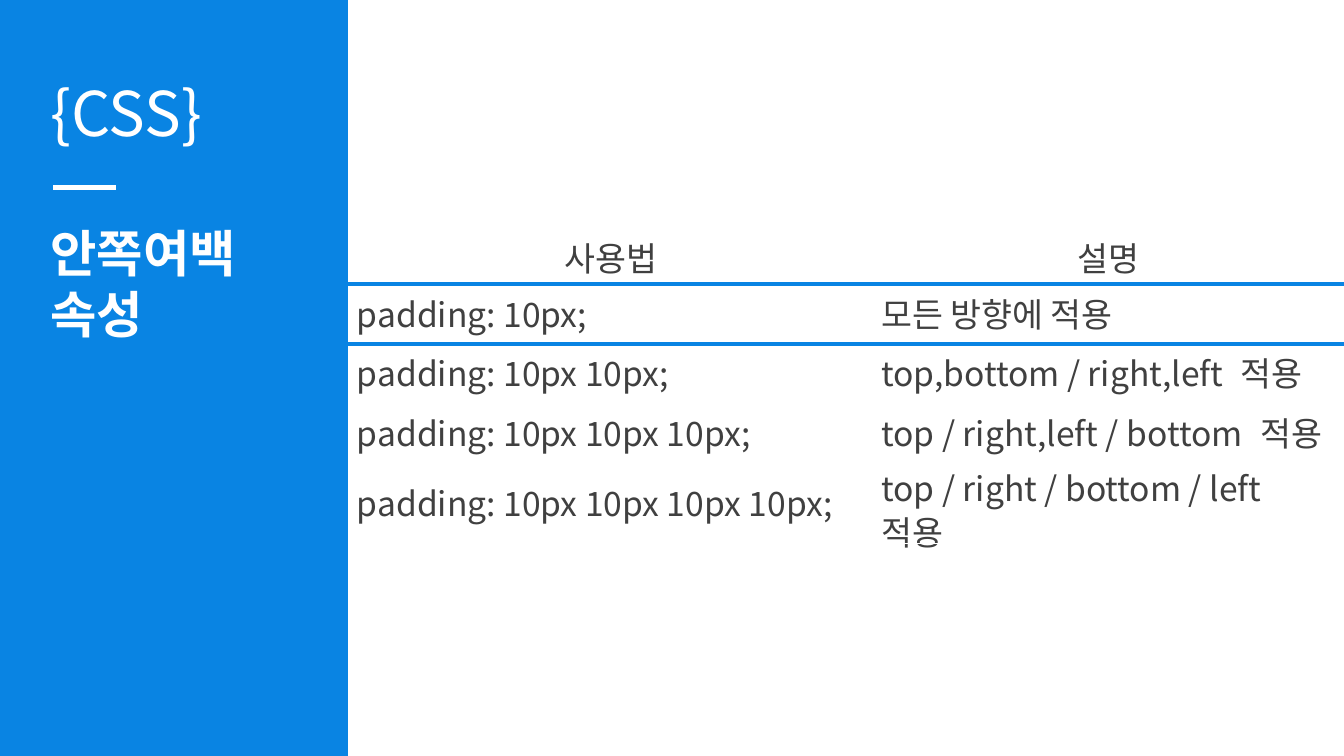
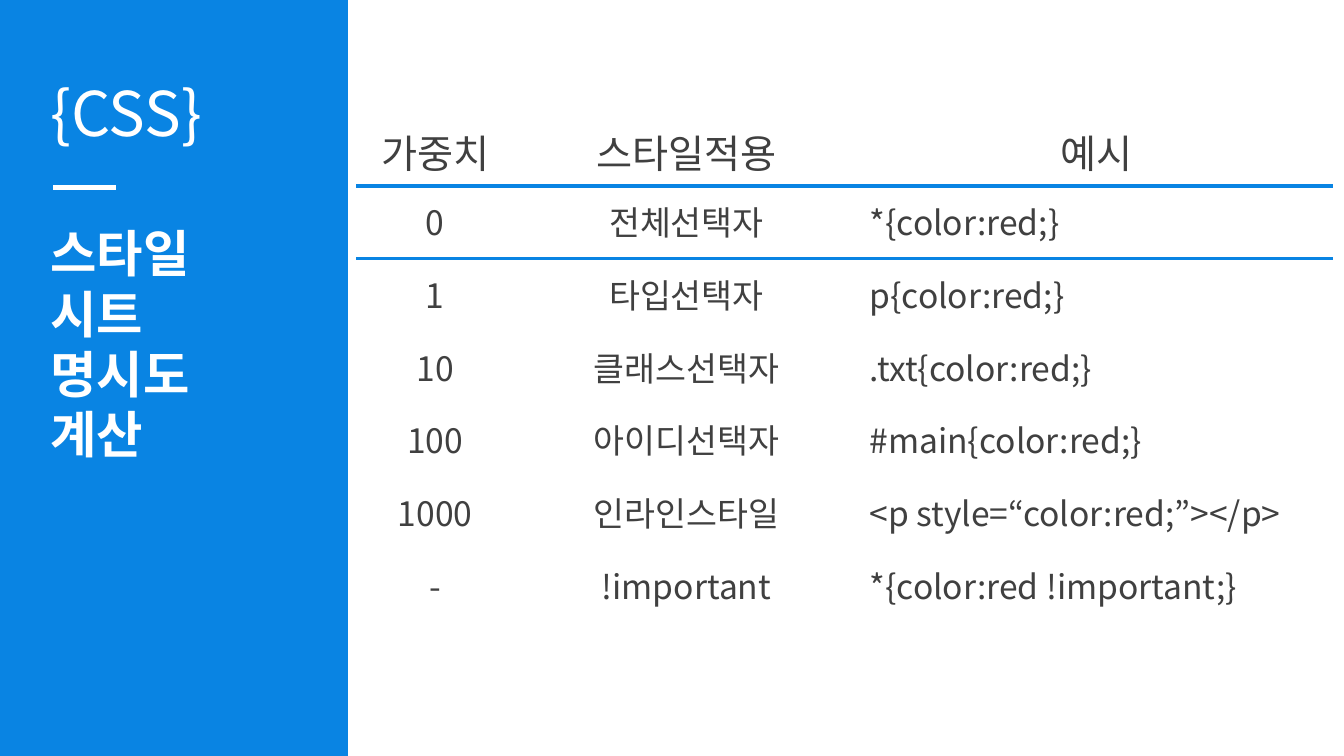
from dataclasses import dataclass
from lxml import etree
from pptx import Presentation
from pptx.dml.color import RGBColor
from pptx.enum.shapes import MSO_CONNECTOR, MSO_SHAPE
from pptx.enum.text import MSO_ANCHOR, PP_ALIGN
from pptx.oxml.ns import qn
from pptx.util import Inches, Pt

RECTANGLE = MSO_SHAPE.RECTANGLE
STRAIGHT = MSO_CONNECTOR.STRAIGHT
MIDDLE, TOP = MSO_ANCHOR.MIDDLE, MSO_ANCHOR.TOP
LEFT, CENTER = PP_ALIGN.LEFT, PP_ALIGN.CENTER


@dataclass(frozen=True)
class Theme:
    """Colours, font, sizes and spacing shared by the slides."""
    blue: RGBColor = RGBColor(0x09, 0x84, 0xE3)
    white: RGBColor = RGBColor(0xFF, 0xFF, 0xFF)
    ink: RGBColor = RGBColor(0x40, 0x40, 0x40)
    font: str = "Noto Sans CJK KR"
    topic: int = 44
    title: int = 36
    heading: int = 28
    body: int = 24
    rule: int = 3
    wide_gap: int = 700
    spacing: float = 0.9
    title_pitch: int = 43


THEME = Theme()


@dataclass(frozen=True)
class Box:
    """A region in EMU, divided by percentages."""
    left: int
    top: int
    width: int
    height: int

    def share(self, left, top, width, height):
        """Return the inner region given in percent of this one."""
        return Box(int(self.left + self.width * left / 100),
                   int(self.top + self.height * top / 100),
                   int(self.width * width / 100),
                   int(self.height * height / 100))

    @property
    def bounds(self):
        """Return the position and size in drawing order."""
        return self.left, self.top, self.width, self.height


PAGE = Box(0, 0, Inches(13.33), Inches(7.5))


def add_run(paragraph, text, size, color, bold=False):
    """Add one styled run and return its properties element."""
    run = paragraph.add_run()
    run.text = text
    run.font.size = Pt(size)
    run.font.bold = bold
    run.font.color.rgb = color
    run.font.name = THEME.font
    properties = run.font._element
    etree.SubElement(properties, qn("a:ea")).set("typeface", THEME.font)
    return properties


def add_label(slide, box, lines, size, spacing, inset=0.05, bold=False):
    """Place white sidebar text, one paragraph for each line."""
    frame = slide.shapes.add_textbox(*box.bounds).text_frame
    frame.word_wrap = True
    frame.margin_top = Inches(inset)
    for index, line in enumerate(lines):
        paragraph = frame.add_paragraph() if index else frame.paragraphs[0]
        paragraph.line_spacing = spacing
        add_run(paragraph, line, size, THEME.white, bold)


def add_sidebar(slide, box, title_lines):
    """Draw the blue band with its topic, short rule and slide title."""
    band = slide.shapes.add_shape(RECTANGLE, *box.bounds)
    band.shadow.inherit = False
    band.fill.solid()
    band.fill.fore_color.rgb = THEME.blue
    band.line.fill.background()
    span = box.share(15.36, 24.8, 17.97, 0)
    rule = slide.shapes.add_connector(
        STRAIGHT, span.left, span.top, span.left + span.width, span.top)
    rule.line.color.rgb = THEME.white
    rule.line.width = Pt(THEME.rule)
    etree.SubElement(rule._element.spPr, qn("a:effectLst"))
    add_label(slide, box.share(11.6, 10.4, 53.6, 11.2), ["{CSS}"],
              THEME.topic, THEME.spacing)
    add_label(slide, box.share(11.6, 28.13, 62, 17.47), title_lines,
              THEME.title, Pt(THEME.title_pitch), inset=0.1, bold=True)


def add_border(cell, side):
    """Draw a blue border along one side of a cell."""
    border = etree.Element(qn(f"a:{side}"), w=str(Pt(THEME.rule)))
    fill = etree.SubElement(border, qn("a:solidFill"))
    etree.SubElement(fill, qn("a:srgbClr")).set("val", str(THEME.blue))
    cell._tc.get_or_add_tcPr().insert(0, border)


def fill_cell(cell, text, size, align, anchor, inset):
    """Write a cell; a bar in the text marks a wide word gap."""
    cell.fill.background()
    cell.vertical_anchor = anchor
    cell.margin_left = cell.margin_right = Inches(inset[0])
    cell.margin_top = cell.margin_bottom = Inches(inset[1])
    paragraph = cell.text_frame.paragraphs[0]
    paragraph.alignment = align
    paragraph.line_spacing = THEME.spacing
    for index, piece in enumerate(text.split("|")):
        if index:
            gap = add_run(paragraph, " ", size, THEME.ink)
            gap.set("spc", str(THEME.wide_gap))
        add_run(paragraph, piece, size, THEME.ink)


def add_css_table(slide, box, rows, columns, row_weights, aligns,
                  heading_size=THEME.body, heading_anchor=MIDDLE,
                  inset=(0.1, 0.05)):
    """Place a plain table with a blue rule under its heading."""
    table = slide.shapes.add_table(len(rows), len(columns), *box.bounds).table
    table.horz_banding = False
    for column, weight in zip(table.columns, columns):
        column.width = int(box.width * weight / sum(columns))
    for row, weight in zip(table.rows, row_weights):
        row.height = int(box.height * weight / sum(row_weights))
    for r, texts in enumerate(rows):
        for c, text in enumerate(texts):
            cell = table.cell(r, c)
            if r == 0:
                fill_cell(cell, text, heading_size, CENTER, heading_anchor, inset)
                add_border(cell, "lnB")
            else:
                fill_cell(cell, text, THEME.body, aligns[c], MIDDLE, inset)
                if r == 1:
                    add_border(cell, "lnT")


def padding_slide(slide, box):
    """Explain the forms of the padding property."""
    add_sidebar(slide, box.share(0, 0, 25.88, 100), ["안쪽여백", "속성"])
    rows = [
        ("사용법", "설명"),
        ("padding: 10px;", "모든 방향에 적용"),
        ("padding: 10px 10px;", "top,bottom / right,left|적용"),
        ("padding: 10px 10px 10px;", "top / right,left / bottom|적용"),
        ("padding: 10px 10px 10px 10px;", "top / right / bottom / left|적용"),
    ]
    add_css_table(slide, box.share(25.96, 30.8, 74.04, 38.27), rows,
                  (5.2, 4.67), (0.51,) + (0.59,) * 4, (LEFT, LEFT),
                  inset=(0.08, 0.04))


def specificity_slide(slide, box):
    """List selector weights with examples."""
    add_sidebar(slide, box.share(0, 0, 25.88, 100), ["스타일 시트", "명시도 계산"])
    rows = [
        ("가중치", "스타일적용", "예시"),
        ("0", "전체선택자", "*{color:red;}"),
        ("1", "타입선택자", "p{color:red;}"),
        ("10", "클래스선택자", ".txt{color:red;}"),
        ("100", "아이디선택자", "#main{color:red;}"),
        ("1000", "인라인스타일", "<p style=“color:red;”></p>"),
        ("-", "!important", "*{color:red !important;}"),
    ]
    add_css_table(slide, box.share(26.56, 16.27, 72.6, 66.13), rows,
                  (1.55, 3.43, 4.69), (0.62,) + (0.72,) * 6,
                  (CENTER, CENTER, LEFT), THEME.heading, TOP)


def main():
    """Build and save the presentation."""
    deck = Presentation()
    deck.slide_width, deck.slide_height = PAGE.width, PAGE.height
    blank = deck.slide_layouts[6]
    for build in (padding_slide, specificity_slide):
        build(deck.slides.add_slide(blank), PAGE)
    deck.save("out.pptx")


if __name__ == "__main__":
    main()
